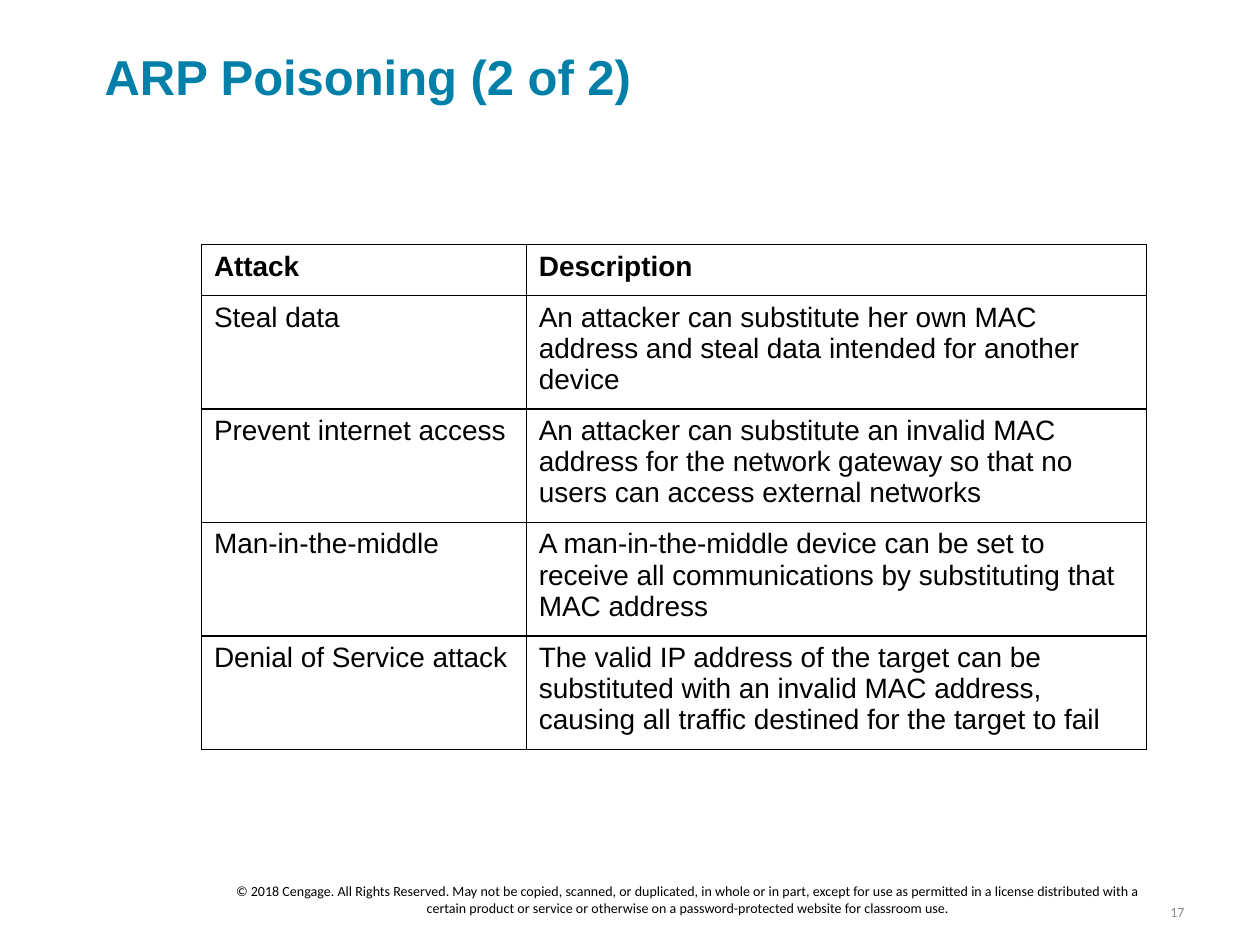
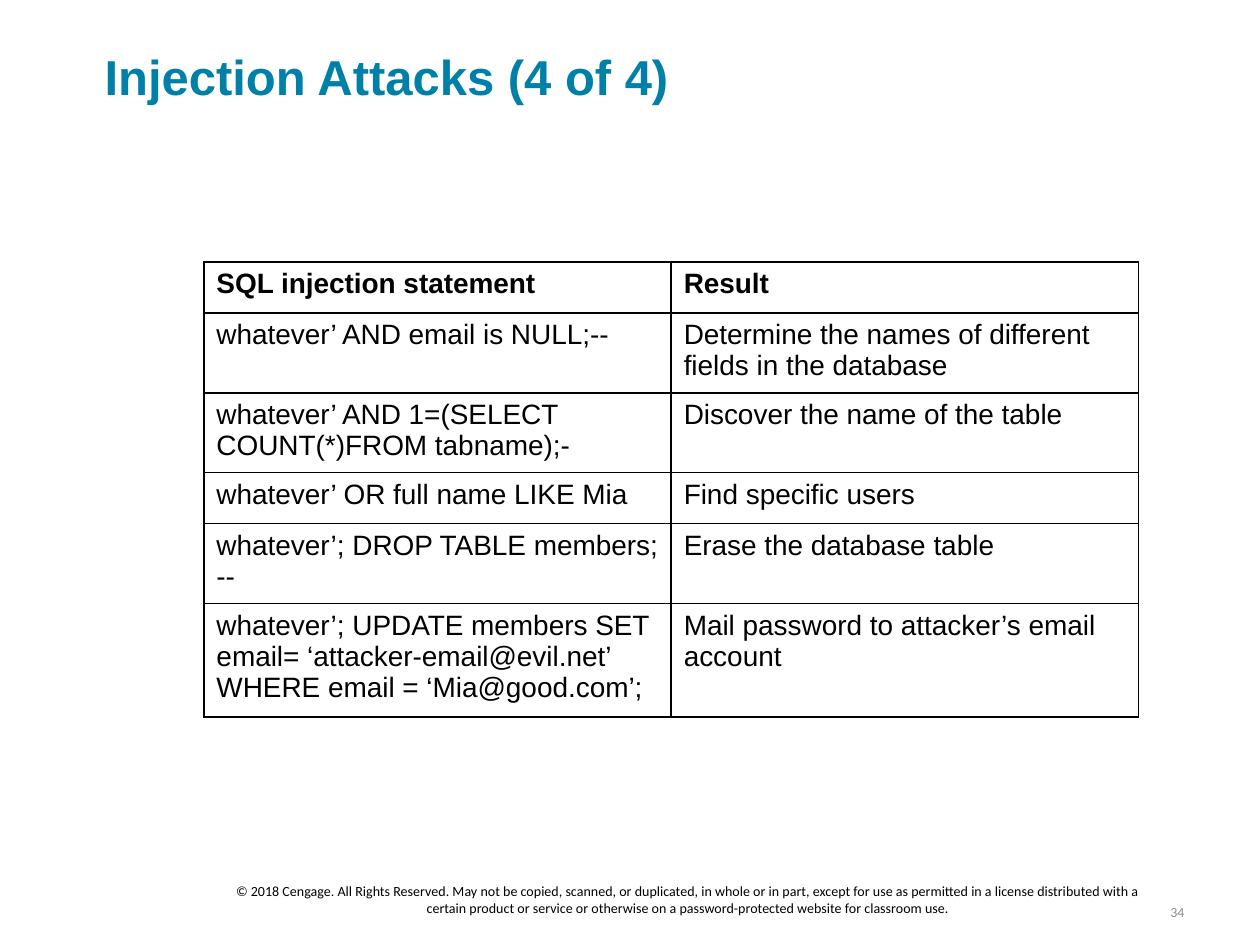
from lxml.etree import SubElement
from pptx import Presentation
from pptx.dml.color import RGBColor
from pptx.enum.text import MSO_ANCHOR as Anchor, PP_ALIGN as Align
from pptx.oxml.ns import qn
from pptx.util import Cm, Pt

COPYRIGHT = (
    "© 2018 Cengage. All Rights Reserved. May not be copied, scanned, or duplicated, "
    "in whole or in part, except for use as permitted in a license distributed with a "
    "certain product or service or otherwise on a password-protected website for classroom use."
)

LESSONS = [
    {
        "title": "ARP Poisoning (2 of 2)",
        "number": "17",
        "origin": (4.06, 4.93),
        "columns": (6.55, 12.5),
        "height": 10.19,
        "rows": [
            ("Attack", "Description"),
            ("Steal data",
             "An attacker can substitute her own MAC address and steal data "
             "intended for another device"),
            ("Prevent internet access",
             "An attacker can substitute an invalid MAC address for the network "
             "gateway so that no users can access external networks"),
            ("Man-in-the-middle",
             "A man-in-the-middle device can be set to receive all communications "
             "by substituting that MAC address"),
            ("Denial of Service attack",
             "The valid IP address of the target can be substituted with an invalid "
             "MAC address, causing all traffic destined for the target to fail"),
        ],
    },
    {
        "title": "Injection Attacks (4 of 4)",
        "number": "34",
        "origin": (4.11, 5.28),
        "columns": (9.42, 9.42),
        "height": 9.17,
        "rows": [
            ("SQL injection statement", "Result"),
            ("whatever’ AND email is NULL;--",
             "Determine the names of different fields in the database"),
            ("whatever’ AND 1=(SELECT COUNT(*)FROM tabname);-",
             "Discover the name of the table"),
            ("whatever’ OR full name LIKE Mia", "Find specific users"),
            ("whatever’; DROP TABLE members; --", "Erase the database table"),
            ("whatever’; UPDATE members SET email= ‘attacker-email@evil.net’ "
             "WHERE email = ‘Mia@good.com’;",
             "Mail password to attacker’s email account"),
        ],
    },
]

TEAL, BLACK, WHITE, GREY = "0080A9", "000000", "FFFFFF", "8C8C8C"
ROW_HEIGHT = 1.03


def color(hex_code):
    return RGBColor.from_string(hex_code)


def write(frame, text, font, size, ink, bold=False, align=Align.LEFT):
    paragraph = frame.paragraphs[0]
    paragraph.alignment = align
    run = paragraph.add_run()
    run.text = text
    run.font.name = font
    run.font.size = Pt(size)
    run.font.bold = bold
    run.font.color.rgb = color(ink)


def add_text(slide, box, text, *style, wrap=True, inset=True, **options):
    frame = slide.shapes.add_textbox(*map(Cm, box)).text_frame
    frame.word_wrap = wrap
    frame.vertical_anchor = Anchor.MIDDLE
    if not inset:
        frame.margin_left = frame.margin_right = frame.margin_top = frame.margin_bottom = 0
    write(frame, text, *style, **options)


def outline(cell):
    properties = cell._tc.get_or_add_tcPr()
    for side in ("a:lnL", "a:lnR", "a:lnT", "a:lnB"):
        border = SubElement(properties, qn(side), w=str(Pt(1)))
        SubElement(SubElement(border, qn("a:solidFill")), qn("a:srgbClr"), val=BLACK)


def add_grid(slide, lesson):
    rows, widths = lesson["rows"], lesson["columns"]
    size = (sum(widths), lesson["height"])
    frame = slide.shapes.add_table(len(rows), len(widths), *map(Cm, lesson["origin"] + size))
    table = frame.table
    table.first_row = table.horz_banding = False
    for column, width in zip(table.columns, widths):
        column.width = Cm(width)
    for r, row in enumerate(rows):
        table.rows[r].height = Cm(ROW_HEIGHT)
        for c, text in enumerate(row):
            cell = table.cell(r, c)
            outline(cell)
            cell.fill.solid()
            cell.fill.fore_color.rgb = color(WHITE)
            write(cell.text_frame, text, "Arial", 16, BLACK, bold=r == 0)
    frame.height = Cm(lesson["height"])


def add_lesson(deck, lesson):
    slide = deck.slides.add_slide(deck.slide_layouts[6])
    add_text(slide, (23.27, 18.08, 0.86, 0.61), lesson["number"], "Calibri", 8, GREY,
             wrap=False, align=Align.RIGHT)
    add_text(slide, (2.11, 0.94, 22.3, 1.19), lesson["title"], "Arial", 28, TEAL,
             inset=False, bold=True)
    add_grid(slide, lesson)
    add_text(slide, (4.45, 17.78, 18.85, 0.69), COPYRIGHT, "Calibri", 8, BLACK,
             align=Align.CENTER)


def main():
    deck = Presentation()
    deck.slide_width, deck.slide_height = Cm(25.4), Cm(19.05)
    for lesson in LESSONS:
        add_lesson(deck, lesson)
    deck.save("out.pptx")


if __name__ == "__main__":
    main()
